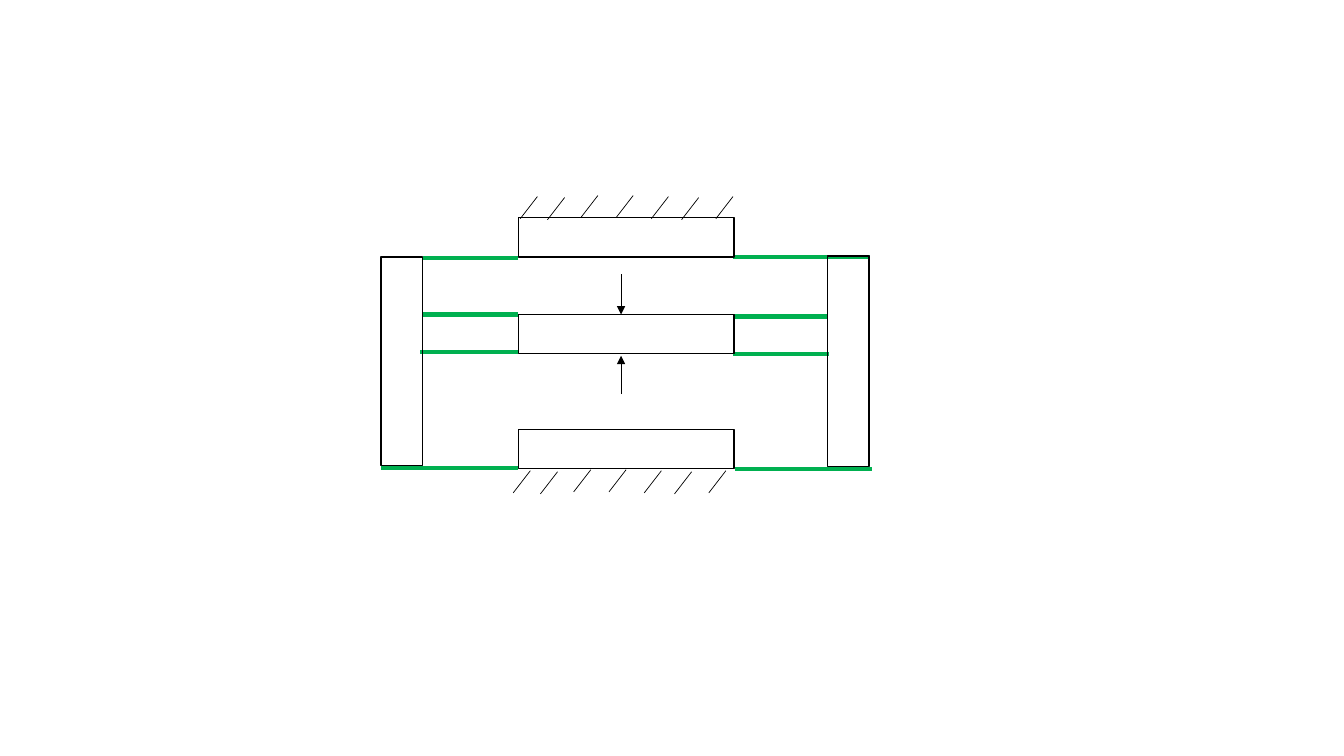
from dataclasses import dataclass

from lxml.etree import SubElement
from pptx import Presentation
from pptx.dml.color import RGBColor
from pptx.enum.shapes import MSO_CONNECTOR, MSO_SHAPE
from pptx.oxml.ns import qn
from pptx.util import Inches, Pt


@dataclass(frozen=True)
class Theme:
    """Colours and line widths of the slide."""
    ink: RGBColor = RGBColor(0x00, 0x00, 0x00)
    beam: RGBColor = RGBColor(0x00, 0xB0, 0x50)
    outline: Pt = Pt(1)
    thick: Pt = Pt(3)
    thin: Pt = Pt(0.5)


@dataclass(frozen=True)
class Box:
    """A region in inches."""
    left: float
    top: float
    width: float
    height: float

    def inside(self, left, top, width, height):
        """Return a box placed relative to this one."""
        return Box(self.left + left, self.top + top, width, height)


THEME = Theme()
PLATE_LEFT, PLATE_WIDTH, PLATE_HEIGHT = 1.36, 2.14, 0.39
PLATE_TOPS = (0.22, 1.18, 2.32)
SIDE_BARS = ((0, 0.61, 0.41, 2.07), (4.43, 0.6, 0.41, 2.09))
BEAMS = (
    (0.42, 1.36, 0.62), (0.42, 1.36, 1.18), (0.39, 1.36, 1.55), (0, 1.36, 2.7),
    (3.49, 4.85, 0.61), (3.49, 4.42, 1.2), (3.49, 4.44, 1.57), (3.51, 4.87, 2.71),
)
HATCH_STROKES = ((0, 0), (0.27, 0.01), (0.6, -0.01), (0.95, -0.01),
                 (1.3, 0), (1.6, 0.01), (1.94, 0))
HATCH_ORIGINS = ((1.38, 0.23), (1.31, 2.95))
HATCH_RUN, HATCH_RISE = 0.17, 0.22
ARROW_X = 2.38
ARROW_SPANS = ((0.78, 1.18), (1.97, 1.59))


def add_block(shapes, box):
    """Draw one unfilled rectangle."""
    block = shapes.add_shape(MSO_SHAPE.RECTANGLE, Inches(box.left), Inches(box.top),
                             Inches(box.width), Inches(box.height))
    block.shadow.inherit = False
    block.fill.background()
    block.line.color.rgb = THEME.ink
    block.line.width = THEME.outline


def add_line(shapes, box, start, end, color, width):
    """Draw a straight line between two points of the box."""
    line = shapes.add_connector(
        MSO_CONNECTOR.STRAIGHT,
        Inches(box.left + start[0]), Inches(box.top + start[1]),
        Inches(box.left + end[0]), Inches(box.top + end[1]))
    line.line.color.rgb = color
    line.line.width = width
    SubElement(line._element.spPr, qn("a:effectLst"))
    return line


def add_beams(shapes, box):
    """Draw the flexible beams between plates and side bars."""
    for left, right, height in BEAMS:
        add_line(shapes, box, (left, height), (right, height), THEME.beam, THEME.thick)


def add_blocks(shapes, box):
    """Draw the three plates and the two side bars."""
    for top in PLATE_TOPS:
        add_block(shapes, box.inside(PLATE_LEFT, top, PLATE_WIDTH, PLATE_HEIGHT))
    for bar in SIDE_BARS:
        add_block(shapes, box.inside(*bar))


def add_hatching(shapes, box):
    """Draw the fixed-support strokes above and below."""
    for left, base in HATCH_ORIGINS:
        for shift, drop in HATCH_STROKES:
            x, y = left + shift, base + drop
            add_line(shapes, box, (x, y), (x + HATCH_RUN, y - HATCH_RISE),
                     THEME.ink, THEME.thin)


def add_arrows(shapes, box):
    """Draw the arrows pressing on the middle plate."""
    for start, end in ARROW_SPANS:
        arrow = add_line(shapes, box, (ARROW_X, start), (ARROW_X, end),
                         THEME.ink, THEME.thin)
        SubElement(arrow.line._get_or_add_ln(), qn("a:tailEnd"), type="triangle")


def add_mechanism(page, box):
    """Draw the whole mechanism as one group."""
    shapes = page.shapes.add_group_shape().shapes
    for add_part in (add_beams, add_blocks, add_hatching, add_arrows):
        add_part(shapes, box)


def main():
    """Build and save the deck."""
    deck = Presentation()
    deck.slide_width, deck.slide_height = Inches(13.33), Inches(7.5)
    page = deck.slides.add_slide(deck.slide_layouts[6])
    add_mechanism(page, Box(3.78, 1.94, 4.87, 2.96))
    deck.save("out.pptx")


if __name__ == "__main__":
    main()
